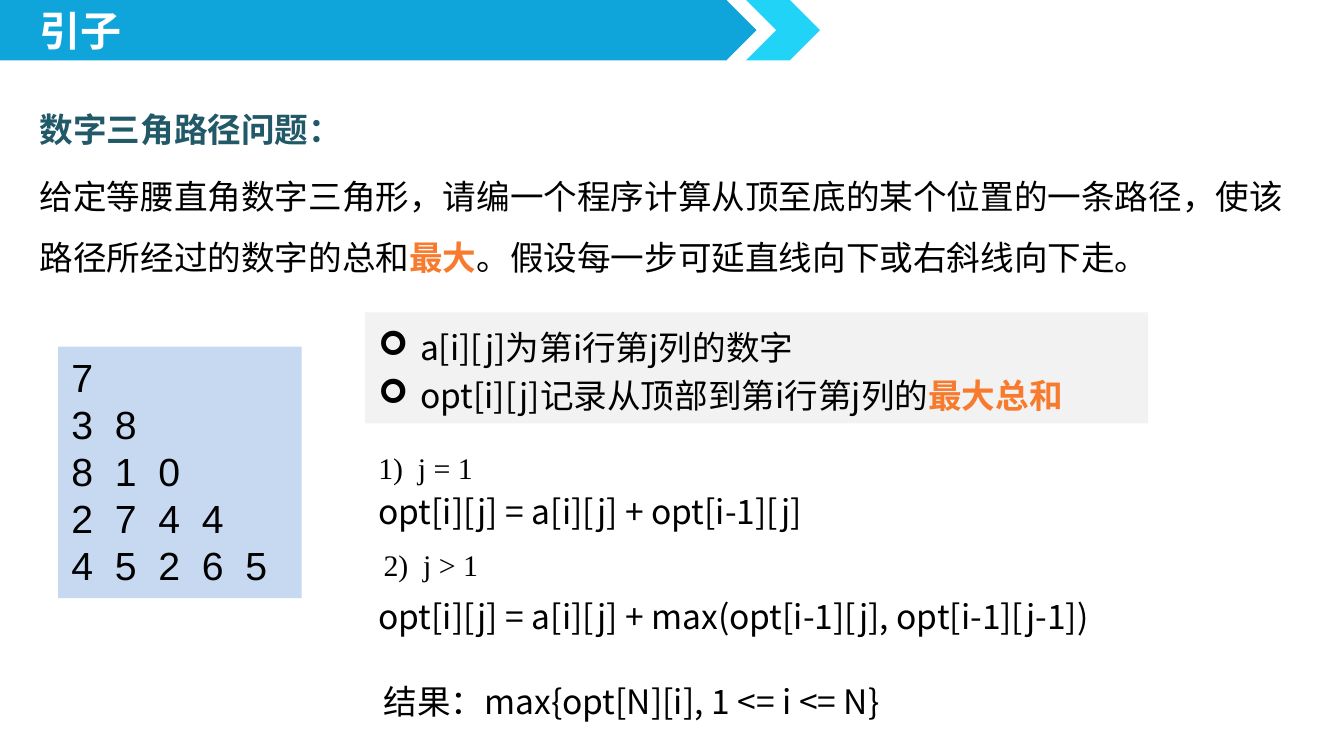
from lxml.etree import SubElement as Sub
from pptx import Presentation
from pptx.dml.color import RGBColor as Rgb
from pptx.enum.shapes import MSO_SHAPE as Kind
from pptx.enum.text import MSO_ANCHOR as Anchor, MSO_AUTO_SIZE as Fit, PP_ALIGN as Align
from pptx.oxml.ns import qn
from pptx.util import Cm, Pt

HUES = {
    "bar": "10A5DA", "tip": "21D3F7", "head": "215968", "hot": "F77A2D",
    "grid": "C6D9F1", "note": "F2F2F2", "ink": "000000", "white": "FFFFFF",
}
SANS = "Noto Sans CJK SC"
BASE = {"size": Pt(18), "name": SANS, "bold": False}
CASE = {"size": Pt(16), "name": "Times New Roman"}
DIGIT = {"size": Pt(21), "name": "Arial"}
HOT = {"bold": True}


def hue(key):
    return Rgb.from_string(HUES[key])


def style(run, form, tint):
    for key, value in {**BASE, **form}.items():
        setattr(run.font, key, value)
    run.font.color.rgb = hue(tint)
    Sub(run.font._element, qn("a:ea"), typeface=run.font.name)


def bullet(para):
    props = para._p.get_or_add_pPr()
    props.set("marL", str(Cm(0.79)))
    props.set("indent", str(Cm(-0.79)))
    Sub(props, qn("a:buFont"), typeface="Wingdings")
    Sub(props, qn("a:buChar"), char="➢")


def write(frame, paras, form={}, wrap=True, fit=Fit.SHAPE_TO_FIT_TEXT, mark=False, **space):
    frame.word_wrap, frame.auto_size = wrap, fit
    frame.vertical_anchor = Anchor.TOP
    for i, parts in enumerate(paras):
        para = frame.add_paragraph() if i else frame.paragraphs[0]
        if mark:
            bullet(para)
        para.alignment = Align.LEFT
        for key, value in space.items():
            if i or key != "space_before":
                setattr(para, key, value)
        for text, tint, *extra in parts:
            run = para.add_run()
            run.text = text
            style(run, {**form, **(extra[0] if extra else {})}, tint)


def block(slide, kind, box, fill):
    shape = slide.shapes.add_shape(kind, *map(Cm, box))
    shape.shadow.inherit = False
    shape.fill.solid()
    shape.fill.fore_color.rgb = hue(fill)
    shape.line.fill.background()
    return shape


def label(slide, box, paras, form={}, **opts):
    shape = slide.shapes.add_textbox(*map(Cm, box))
    write(shape.text_frame, paras, form, **opts)


def title(slide, text):
    shape = slide.shapes.title
    box = {"left": 0.5, "top": 0.15, "width": 2.08, "height": 1.02}
    for key, value in box.items():
        setattr(shape, key, Cm(value))
    form = {"size": Pt(22), "bold": True}
    write(shape.text_frame, [[(text, "white", form)]], wrap=False, line_spacing=0.8)
    slide.shapes._spTree.append(shape._element)


def main():
    deck = Presentation()
    deck.slide_width, deck.slide_height = Cm(25.4), Cm(14.28)
    slide = deck.slides.add_slide(deck.slide_layouts[5])

    block(slide, Kind.PENTAGON, (0, 0, 14.3, 1.14), "bar")
    block(slide, Kind.CHEVRON, (14.1, 0, 1.4, 1.14), "tip")
    title(slide, "引子")

    label(slide, (0.5, 1.55, 24, 3.81), [
        [("数字三角路径问题：", "head", HOT)],
        [("给定等腰直角数字三角形，请编一个程序计算从顶至底的某个位置的一条路径，使该路径所经过的数字的总和", "ink"),
         ("最大", "hot", HOT),
         ("。假设每一步可延直线向下或右斜线向下走。", "ink")],
    ], fit=Fit.NONE, line_spacing=1.5, space_before=Pt(3.6))

    grid = block(slide, Kind.RECTANGLE, (1.1, 6.55, 4.6, 4.75), "grid")
    rows = ["7", "38", "810", "2744", "45265"]
    write(grid.text_frame, [[("  ".join(row), "ink")] for row in rows], DIGIT)

    note = block(slide, Kind.RECTANGLE, (6.9, 5.9, 14.8, 2.1), "note")
    write(note.text_frame, [
        [("a[i][j]为第i行第j列的数字", "ink")],
        [("opt[i][j]记录从顶部到第i行第j列的", "ink"), ("最大总和", "hot", HOT)],
    ], mark=True, line_spacing=1.2)

    lines = [
        ((6.9, 8.36, 2.34, 0.94), "1)  j = 1", CASE, False),
        ((6.9, 9.14, 11.1, 1.02), "opt[i][j] = a[i][j] + opt[i-1][j]", {}, False),
        ((7, 10.21, 2.34, 0.94), "2)  j > 1", CASE, False),
        ((6.9, 11.13, 17.2, 1.02),
         "opt[i][j] = a[i][j] + max(opt[i-1][j], opt[i-1][j-1])", {}, True),
        ((7, 12.73, 11.1, 1.02), "结果：max{opt[N][i], 1 <= i <= N}", {}, False),
    ]
    for box, text, form, wrap in lines:
        label(slide, box, [[(text, "ink")]], form, wrap=wrap)

    deck.save("out.pptx")


if __name__ == "__main__":
    main()
